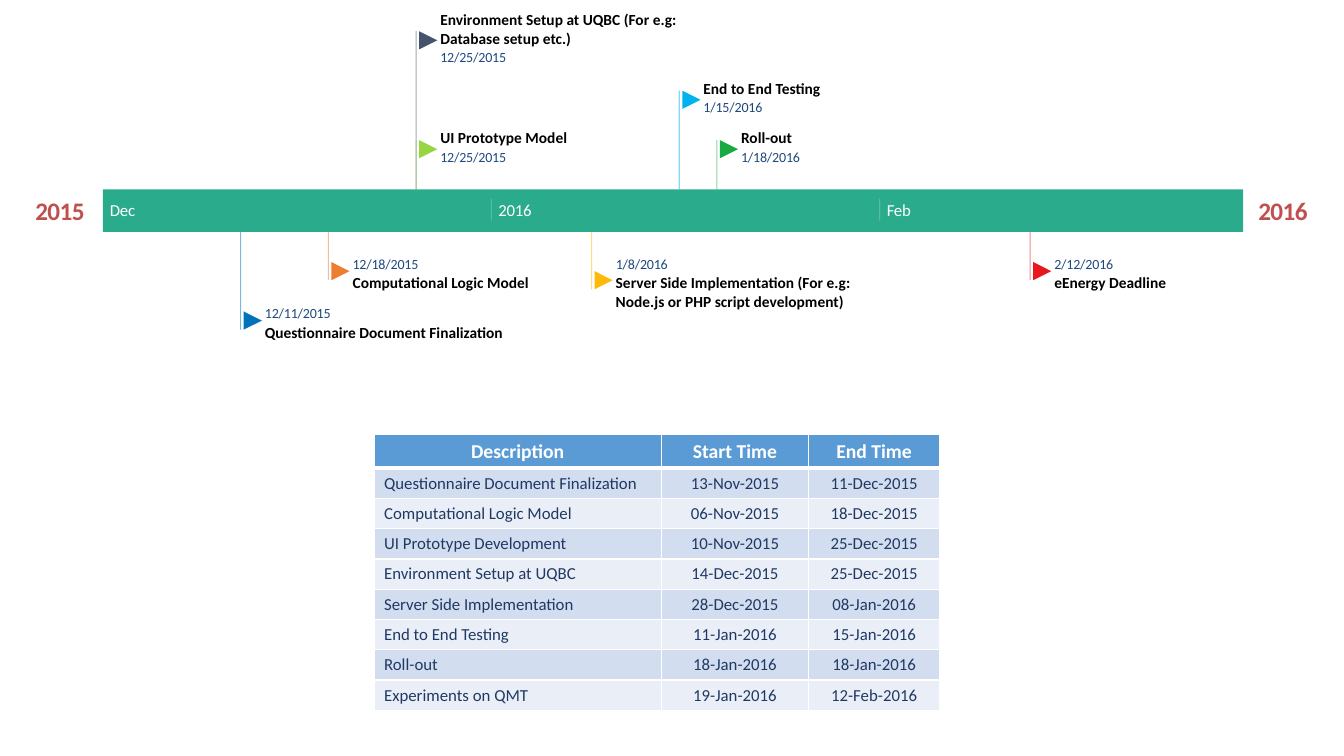
from dataclasses import dataclass
from lxml.etree import SubElement
from pptx import Presentation
from pptx.dml.color import RGBColor
from pptx.enum.shapes import MSO_CONNECTOR, MSO_SHAPE
from pptx.enum.text import MSO_ANCHOR, PP_ALIGN
from pptx.oxml import parse_xml
from pptx.oxml.ns import nsdecls, qn
from pptx.util import Inches, Pt


@dataclass(frozen=True)
class Theme:
    font: str = "Calibri"
    white: str = "FFFFFF"
    black: str = "000000"
    bar: str = "2AAC8C"
    year: str = "C0504D"
    date: str = "1F497E"
    head: str = "5B9BD5"
    cell: str = "203864"
    bands: tuple = ("D2DEEF", "EAEFF7")
    big: int = 18
    mid: int = 14
    base: int = 12
    small: int = 11
    tiny: int = 10


THEME = Theme()

# Time bar: one day is an equal share of its width
LEFT, TOP, WIDE, HIGH = 1.02, 1.88, 11.31, 0.42
DAYS = 91
FLAG = 0.18
MONTHS = [("Dec", 0, 0.3), ("2016", 31, 0.38), ("Feb", 62, 0.3)]

# Day from 1 December, far end of the stem, colour, date, title, title width, lines
EVENTS = [
    (74, 2.78, "EA161E", "2/12/2016", "eEnergy Deadline", 1.2, 1),
    (39, 2.87, "FEBA0A", "1/8/2016",
     "Server Side Implementation (For e.g: Node.js or PHP script development)", 2.36, 2),
    (18, 2.78, "ED7D31", "12/18/2015", "Computational Logic Model", 1.82, 1),
    (11, 3.27, "0072BC", "12/11/2015", "Questionnaire Document Finalization", 2.46, 1),
    (49, 1.39, "1AAA42", "1/18/2016", "Roll-out", 0.58, 1),
    (46, 0.9, "02B2EE", "1/15/2016", "End to End Testing", 1.24, 1),
    (25, 0.31, "44546A", "12/25/2015",
     "Environment Setup at UQBC (For e.g: Database setup etc.)", 2.4, 2),
    (25, 1.39, "96D642", "12/25/2015", "UI Prototype Model", 1.33, 1),
]

COLS = [2.85, 1.46, 1.3]
ROWS = [
    ("Description", "Start Time", "End Time"),
    ("Questionnaire Document Finalization", "13-Nov-2015", "11-Dec-2015"),
    ("Computational Logic Model", "06-Nov-2015", "18-Dec-2015"),
    ("UI Prototype Development", "10-Nov-2015", "25-Dec-2015"),
    ("Environment Setup at UQBC", "14-Dec-2015", "25-Dec-2015"),
    ("Server Side Implementation", "28-Dec-2015", "08-Jan-2016"),
    ("End to End Testing", "11-Jan-2016", "15-Jan-2016"),
    ("Roll-out", "18-Jan-2016", "18-Jan-2016"),
    ("Experiments on QMT", "19-Jan-2016", "12-Feb-2016"),
]


def put(obj, **vals):
    for name, val in vals.items():
        setattr(obj, name, val)


def day_x(day):
    return LEFT + day * WIDE / DAYS


def write(frame, text, size, color, bold=False, align=PP_ALIGN.LEFT, gap=0):
    para = frame.paragraphs[0]
    para.alignment = align
    run = para.add_run()
    run.text = text
    put(run.font, name=THEME.font, size=Pt(size), bold=bold)
    run.font.color.rgb = RGBColor.from_string(color)
    if gap:
        run.font._element.set("spc", str(gap))


def add_text(slide, box, text, size, color, **style):
    frame = slide.shapes.add_textbox(*map(Inches, box)).text_frame
    put(frame, margin_left=0, margin_right=0, margin_top=0, margin_bottom=0,
        word_wrap=True, vertical_anchor=MSO_ANCHOR.MIDDLE)
    write(frame, text, size, color, **style)


def add_line(slide, x, top, end, color, width, alpha):
    line = slide.shapes.add_connector(
        MSO_CONNECTOR.STRAIGHT, *map(Inches, (x, top, x, end)))
    line.line.width = Pt(width)
    line.line.color.rgb = RGBColor.from_string(color)
    props = line._element.spPr
    tint = next(props.iter(qn("a:srgbClr")))
    SubElement(tint, qn("a:alpha")).set("val", str(alpha * 1000))
    SubElement(props, qn("a:effectLst"))


def add_solid(slide, kind, box, color, turn=0):
    shape = slide.shapes.add_shape(kind, *map(Inches, box))
    shape.shadow.inherit = False
    shape.fill.solid()
    shape.fill.fore_color.rgb = RGBColor.from_string(color)
    shape.line.fill.background()
    shape.rotation = turn


def add_stem(slide, event):
    day, end, color = event[:3]
    edge = TOP if end < TOP else TOP + HIGH
    add_line(slide, day_x(day), min(edge, end), max(edge, end), color, 0.75, 50)


def add_event(slide, event):
    day, end, color, date, title, width, lines = event
    above = end < TOP
    x = day_x(day)
    flag = end if above else end - FLAG
    # The label block is centred on the flag, a little away from the bar
    tall = 0.19 if lines == 1 else 0.37
    mid = flag + FLAG / 2 + (-0.02 if above else 0.03)
    top = mid - (tall + 0.19) / 2
    title_y, date_y = (top, top + tall + 0.01) if above else (top + 0.18, top)
    add_text(slide, (x + 0.24, title_y, width, tall), title, THEME.small,
             THEME.black, bold=True)
    add_text(slide, (x + 0.24, date_y, 0.07 * len(date) + 0.03, 0.17), date,
             THEME.tiny, THEME.date, gap=-10)
    add_solid(slide, MSO_SHAPE.FLOWCHART_MERGE, (x + 0.03, flag, FLAG, FLAG),
              color, 270)


def add_bar(slide):
    for x, year in ((0.32, "2015"), (12.45, "2016")):
        add_text(slide, (x, 1.93, 0.55, 0.31), year, THEME.big, THEME.year,
                 bold=True, align=PP_ALIGN.CENTER, gap=-40)
    add_solid(slide, MSO_SHAPE.RECTANGLE, (LEFT, TOP, WIDE, HIGH), THEME.bar)
    for name, day, width in MONTHS:
        x = day_x(day)
        if day:
            add_line(slide, x, 1.97, 2.19, THEME.white, 0.5, 30)
        add_text(slide, (x + 0.07, 1.98, width, 0.2), name, THEME.base,
                 THEME.white, gap=-20)


def edge_cell(cell, base):
    props = cell._tc.get_or_add_tcPr()
    for spot, (side, width) in enumerate(zip("LRTB", (1, 1, 1, base))):
        props.insert(spot, parse_xml(
            f'<a:ln{side} {nsdecls("a")} w="{Pt(width)}"><a:solidFill>'
            f'<a:srgbClr val="{THEME.white}"/></a:solidFill></a:ln{side}>'))


def add_plan(slide):
    table = slide.shapes.add_table(
        len(ROWS), len(COLS), *map(Inches, (3.71, 4.31, sum(COLS), 2.73))).table
    for col, width in zip(table.columns, COLS):
        col.width = Inches(width)
    for r, row in enumerate(ROWS):
        head = r == 0
        table.rows[r].height = Inches(0.33 if head else 0.3)
        fill = THEME.head if head else THEME.bands[(r - 1) % 2]
        size, color = (THEME.mid, THEME.white) if head else (THEME.base, THEME.cell)
        for c, text in enumerate(row):
            cell = table.cell(r, c)
            cell.vertical_anchor = MSO_ANCHOR.MIDDLE
            cell.fill.solid()
            cell.fill.fore_color.rgb = RGBColor.from_string(fill)
            align = PP_ALIGN.CENTER if head or c else PP_ALIGN.LEFT
            write(cell.text_frame, text, size, color, bold=head, align=align)
            edge_cell(cell, 3 if head else 1)


def main():
    deck = Presentation()
    put(deck, slide_width=Inches(13.33), slide_height=Inches(7.5))
    slide = deck.slides.add_slide(deck.slide_layouts[6])
    # Timeline
    for event in EVENTS:
        add_stem(slide, event)
    add_bar(slide)
    for event in EVENTS:
        add_event(slide, event)
    # Schedule
    add_plan(slide)
    deck.save("out.pptx")


main()
